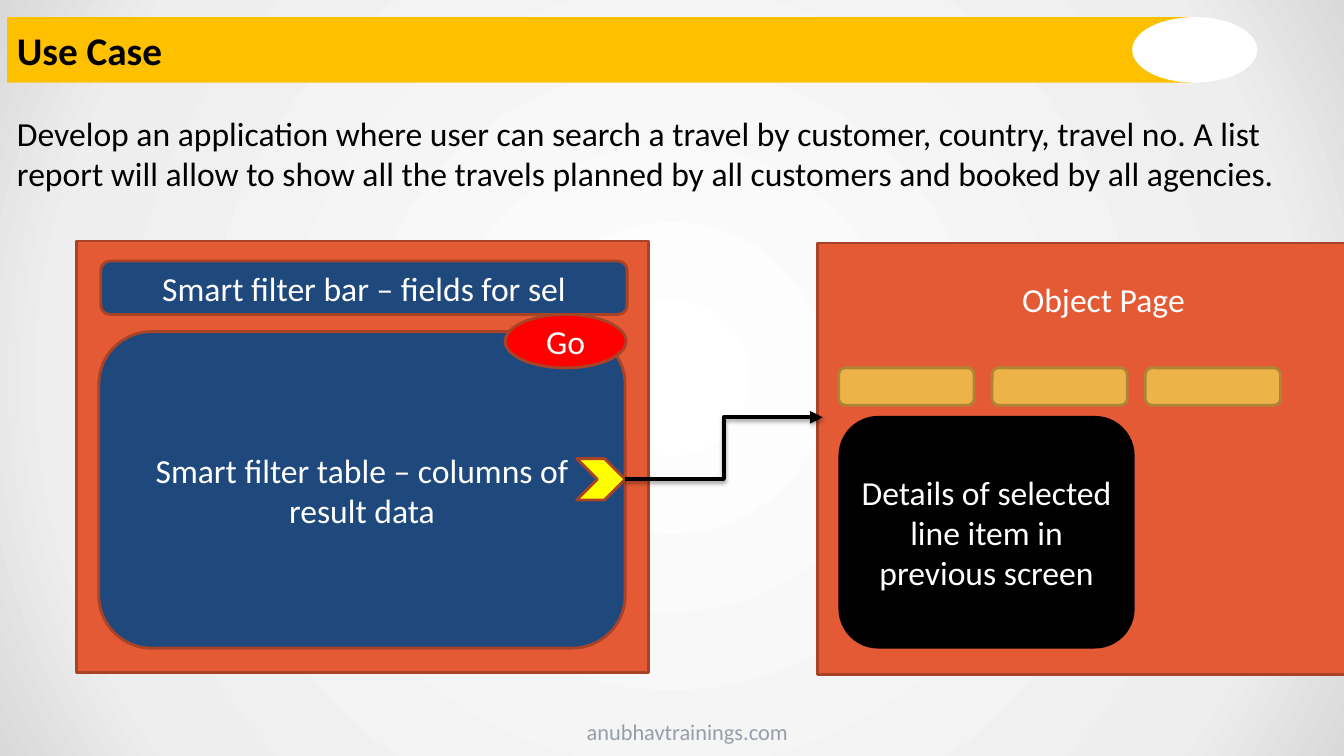
from dataclasses import dataclass

from pptx import Presentation
from pptx import oxml
from pptx import util as u
from pptx.dml import color
from pptx.enum import shapes, text
from pptx.oxml import ns
from pptx.shapes.autoshape import Shape
from pptx.shapes.connector import Connector
from pptx.slide import Slide

FONT = "Calibri"
COLORS = {
    "black": "000000", "white": "FFFFFF", "amber": "FFC000", "grey": "969EA9",
    "orange": "E35A35", "rust": "A84327", "navy": "1F497D", "red": "FF0000",
    "yellow": "FFFF00", "gold": "ECB448", "bronze": "AF8535",
}
BACKGROUND_STOPS = ((0, "FFFFFF"), (81, "EEEEEE"), (100, "D9D9D9"))
KIND = shapes.MSO_SHAPE


@dataclass(frozen=True)
class Block:
    kind: shapes.MSO_SHAPE
    left: float
    top: float
    width: float
    height: float
    fill: str
    line: str | None = "rust"
    label: str = ""


def rgb(name: str) -> color.RGBColor:
    return color.RGBColor.from_string(COLORS[name])


def write(shape: Shape, words: str, *, size: float = 24, ink: str = "white",
          bold: bool = False, align: text.PP_ALIGN = text.PP_ALIGN.CENTER,
          anchor: text.MSO_ANCHOR = text.MSO_ANCHOR.MIDDLE,
          inset_top: float = 0.05) -> None:
    frame = shape.text_frame
    frame.word_wrap = True
    frame.vertical_anchor = anchor
    frame.margin_top = u.Inches(inset_top)
    paragraph = frame.paragraphs[0]
    paragraph.alignment = align
    run = paragraph.add_run()
    run.text = words
    run.font.name = FONT
    run.font.size = u.Pt(size)
    run.font.bold = bold
    run.font.color.rgb = rgb(ink)


def add_block(slide: Slide, block: Block) -> Shape:
    box = (block.left, block.top, block.width, block.height)
    shape = slide.shapes.add_shape(block.kind, *map(u.Inches, box))
    shape.shadow.inherit = False
    shape.fill.solid()
    shape.fill.fore_color.rgb = rgb(block.fill)
    if block.line:
        shape.line.color.rgb = rgb(block.line)
        shape.line.width = u.Pt(2)
    else:
        shape.line.fill.background()
    if block.label:
        write(shape, block.label)
    return shape


def add_note(slide: Slide, left: float, top: float, width: float, height: float,
             words: str, size: float, ink: str) -> None:
    note = slide.shapes.add_textbox(*map(u.Inches, (left, top, width, height)))
    write(note, words, size=size, ink=ink, align=text.PP_ALIGN.LEFT,
          anchor=text.MSO_ANCHOR.TOP)


def paint_background(slide: Slide) -> None:
    slide.background.fill.gradient()
    linear = slide.element.find(".//" + ns.qn("a:gradFill"))
    stops = "".join(
        f'<a:gs pos="{position * 1000}"><a:srgbClr val="{shade}"/></a:gs>'
        for position, shade in BACKGROUND_STOPS)
    radial = oxml.parse_xml(
        f'<a:gradFill {ns.nsdecls("a")} rotWithShape="1"><a:gsLst>{stops}</a:gsLst>'
        '<a:path path="circle"><a:fillToRect l="50000" t="50000" r="50000" b="50000"/>'
        '</a:path></a:gradFill>')
    linear.getparent().replace(linear, radial)


def add_navigation_arrow(slide: Slide) -> Connector:
    arrow = slide.shapes.add_connector(
        shapes.MSO_CONNECTOR.ELBOW, *map(u.Inches, (6.2, 4.75, 8.16, 4.14)))
    arrow.line.color.rgb = rgb("black")
    arrow.line.width = u.Pt(3)
    arrow.line._get_or_add_ln().append(
        oxml.parse_xml(f'<a:tailEnd {ns.nsdecls("a")} type="triangle"/>'))
    arrow.element.spPr.append(oxml.parse_xml(
        f'<a:effectLst {ns.nsdecls("a")}><a:outerShdw blurRad="{u.Pt(3.1)}" '
        f'dist="{u.Pt(1.8)}" dir="5400000" rotWithShape="0">'
        '<a:srgbClr val="000000"><a:alpha val="35000"/></a:srgbClr>'
        '</a:outerShdw></a:effectLst>'))
    return arrow


def main() -> None:
    deck = Presentation()
    deck.slide_width, deck.slide_height = u.Inches(13.33), u.Inches(7.5)
    slide = deck.slides.add_slide(deck.slide_layouts[6])
    paint_background(slide)

    # Title bar, footer and description
    title = add_block(slide, Block(KIND.RECTANGLE, 0.07, 0.17, 11.74, 0.65, "amber", None))
    write(title, "Use Case", size=28, ink="black", bold=True, align=text.PP_ALIGN.LEFT)
    add_block(slide, Block(KIND.OVAL, 11.23, 0.17, 1.24, 0.65, "white", None))
    add_note(slide, 5.72, 7.08, 3.31, 0.37, "anubhavtrainings.com", 16, "grey")
    add_note(slide, 0.07, 1.07, 13.19, 1.31,
             "Develop an application where user can search a travel by customer, "
             "country, travel no. A list report will allow to show all the travels "
             "planned by all customers and booked by all agencies.", 24, "black")

    # Both pages
    add_block(slide, Block(KIND.RECTANGLE, 0.76, 2.39, 5.67, 4.28, "orange"))
    object_page = add_block(slide, Block(KIND.RECTANGLE, 8.11, 2.41, 5.67, 4.28, "orange"))
    write(object_page, "Object Page", anchor=text.MSO_ANCHOR.TOP, inset_top=0.36)

    # List report parts
    list_report = (
        Block(KIND.ROUNDED_RECTANGLE, 1, 2.59, 5.22, 0.53, "navy",
              label="Smart filter bar – fields for sel"),
        Block(KIND.ROUNDED_RECTANGLE, 0.98, 3.29, 5.22, 3.14, "navy",
              label="Smart filter table – columns of result data"),
        Block(KIND.OVAL, 5.01, 3.12, 1.2, 0.53, "red", label="Go"),
        Block(KIND.CHEVRON, 5.72, 4.55, 0.48, 0.41, "yellow"),
    )
    for part in list_report:
        add_block(slide, part)

    add_navigation_arrow(slide)

    # Object page parts
    for column in range(3):
        add_block(slide, Block(KIND.ROUNDED_RECTANGLE, 8.32 + 1.52 * column, 3.65,
                               1.34, 0.37, "gold", "bronze"))
    add_block(slide, Block(KIND.ROUNDED_RECTANGLE, 8.33, 4.14, 2.91, 2.28, "black", "black",
                           "Details of selected line item in previous screen"))

    deck.save("out.pptx")


if __name__ == "__main__":
    main()
